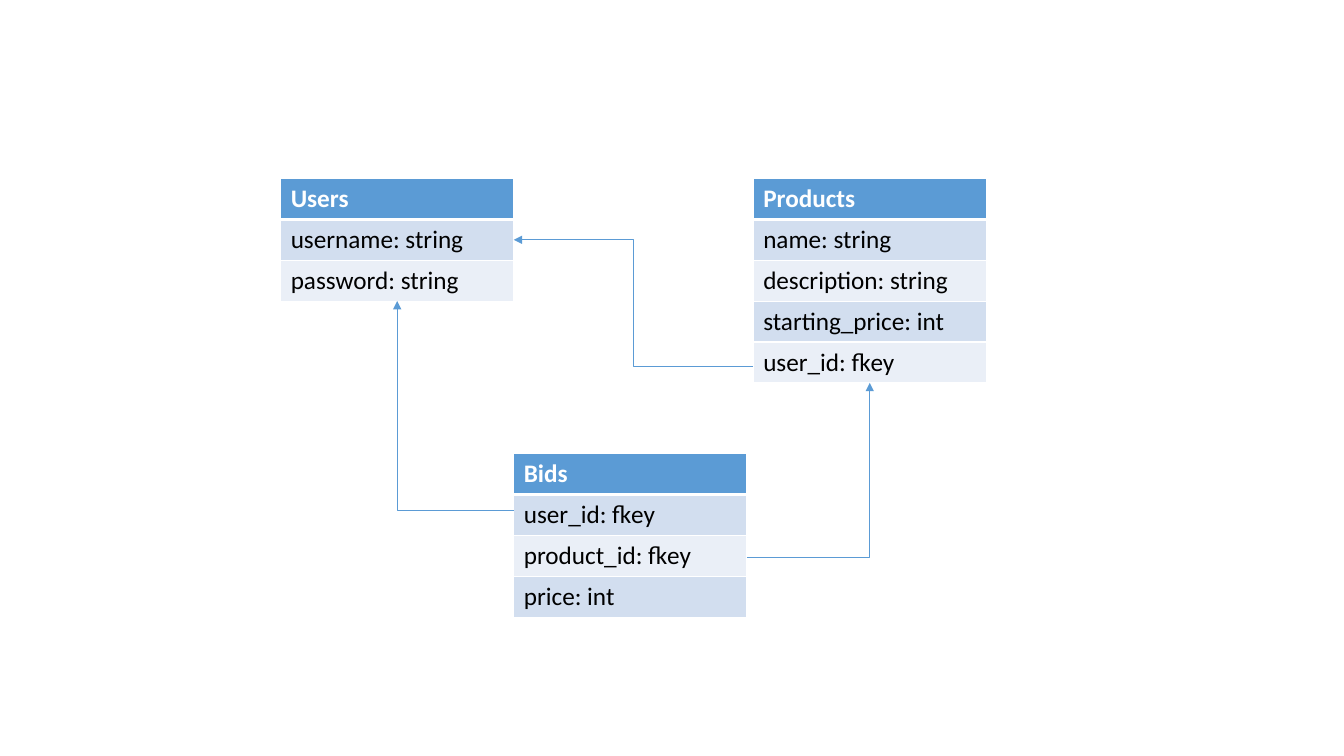
from dataclasses import dataclass

from lxml import etree
from pptx import Presentation
from pptx import util as u
from pptx.dml.color import RGBColor
from pptx.enum import shapes, text
from pptx.oxml import ns


@dataclass(frozen=True)
class Theme:
    """Colours, type and line weights of the slide."""
    font: str = "Calibri"
    size: float = 18
    accent: str = "5B9BD5"
    bands: tuple = ("D2DEEF", "EAEFF7")
    light: str = "FFFFFF"
    dark: str = "000000"
    rule: float = 1
    header_rule: float = 3
    arrow: float = 0.5


@dataclass(frozen=True)
class Entity:
    """A database table: its place in points, name and fields."""
    left: float
    top: float
    name: str
    fields: tuple
    width: float = 166.5
    row: float = 29.2

    @property
    def right(self):
        """Return the right edge."""
        return self.left + self.width

    @property
    def centre(self):
        """Return the horizontal centre."""
        return self.left + self.width / 2

    @property
    def bottom(self):
        """Return the bottom edge."""
        return self.top + self.row * (1 + len(self.fields))

    def row_y(self, index, shift=0):
        """Return the middle of a row, moved down by shift."""
        return self.top + self.row * (index + 0.5) + shift


THEME = Theme()


def set_all(target, values):
    """Set each attribute of target from a dict."""
    for name, value in values.items():
        setattr(target, name, value)


def add_child(parent, tag, **attributes):
    """Append a DrawingML element and return it."""
    return etree.SubElement(parent, ns.qn(tag), attributes)


def set_borders(cell, bottom):
    """Draw white borders round a cell, before its fill."""
    properties = cell._tc.get_or_add_tcPr()
    for side, width in (("L", THEME.rule), ("R", THEME.rule), ("T", THEME.rule), ("B", bottom)):
        line = add_child(properties, f"a:ln{side}", w=str(u.Pt(width)))
        add_child(add_child(line, "a:solidFill"), "a:srgbClr", val=THEME.light)


def fill_cell(cell, words, fill, colour, bold, bottom):
    """Write one styled table cell."""
    set_borders(cell, bottom)
    cell.fill.solid()
    cell.fill.fore_color.rgb = RGBColor.from_string(fill)
    cell.vertical_anchor = text.MSO_ANCHOR.TOP
    span = cell.text_frame.paragraphs[0].add_run()
    span.text = words
    set_all(span.font, {"name": THEME.font, "size": u.Pt(THEME.size), "bold": bold})
    span.font.color.rgb = RGBColor.from_string(colour)


def add_entity(page, entity):
    """Add an entity as a one-column table with a header."""
    count = 1 + len(entity.fields)
    table = page.shapes.add_table(
        count, 1, u.Pt(entity.left), u.Pt(entity.top),
        u.Pt(entity.width), u.Pt(entity.row * count)).table
    for row in table.rows:
        row.height = u.Pt(entity.row)
    fill_cell(table.cell(0, 0), entity.name, THEME.accent, THEME.light, True, THEME.header_rule)
    for index, field in enumerate(entity.fields):
        band = THEME.bands[index % len(THEME.bands)]
        fill_cell(table.cell(index + 1, 0), field, band, THEME.dark, False, THEME.rule)


def add_link(page, start, end, preset="bentConnector3"):
    """Add an elbow arrow from a foreign key to its entity."""
    link = page.shapes.add_connector(
        shapes.MSO_CONNECTOR.ELBOW, *(u.Pt(value) for value in start + end))
    link.line.width = u.Pt(THEME.arrow)
    link.line.color.rgb = RGBColor.from_string(THEME.accent)
    add_child(link.line._get_or_add_ln(), "a:tailEnd", type="triangle")
    properties = link._element.spPr
    properties.find(ns.qn("a:prstGeom")).set("prst", preset)
    add_child(properties, "a:effectLst")


def main():
    """Build the entity diagram and save it."""
    deck = Presentation()
    set_all(deck, {"slide_width": u.Pt(960), "slide_height": u.Pt(540)})
    page = deck.slides.add_slide(deck.slide_layouts[6])

    users = Entity(200.5, 127.5, "Users", ("username: string", "password: string"))
    products = Entity(538, 127.5, "Products", (
        "name: string", "description: string", "starting_price: int", "user_id: fkey"))
    bids = Entity(367, 324, "Bids", ("user_id: fkey", "product_id: fkey", "price: int"))
    for entity in (users, products, bids):
        add_entity(page, entity)

    one_bend = "bentConnector2"
    add_link(page, (bids.left, bids.row_y(1, -3)), (users.centre, users.bottom), one_bend)
    add_link(page, (bids.right, bids.row_y(2, 1)), (products.centre, products.bottom), one_bend)
    add_link(page, (products.left, products.row_y(4, 2.5)), (users.right, users.row_y(1)))
    deck.save("out.pptx")


if __name__ == "__main__":
    main()
